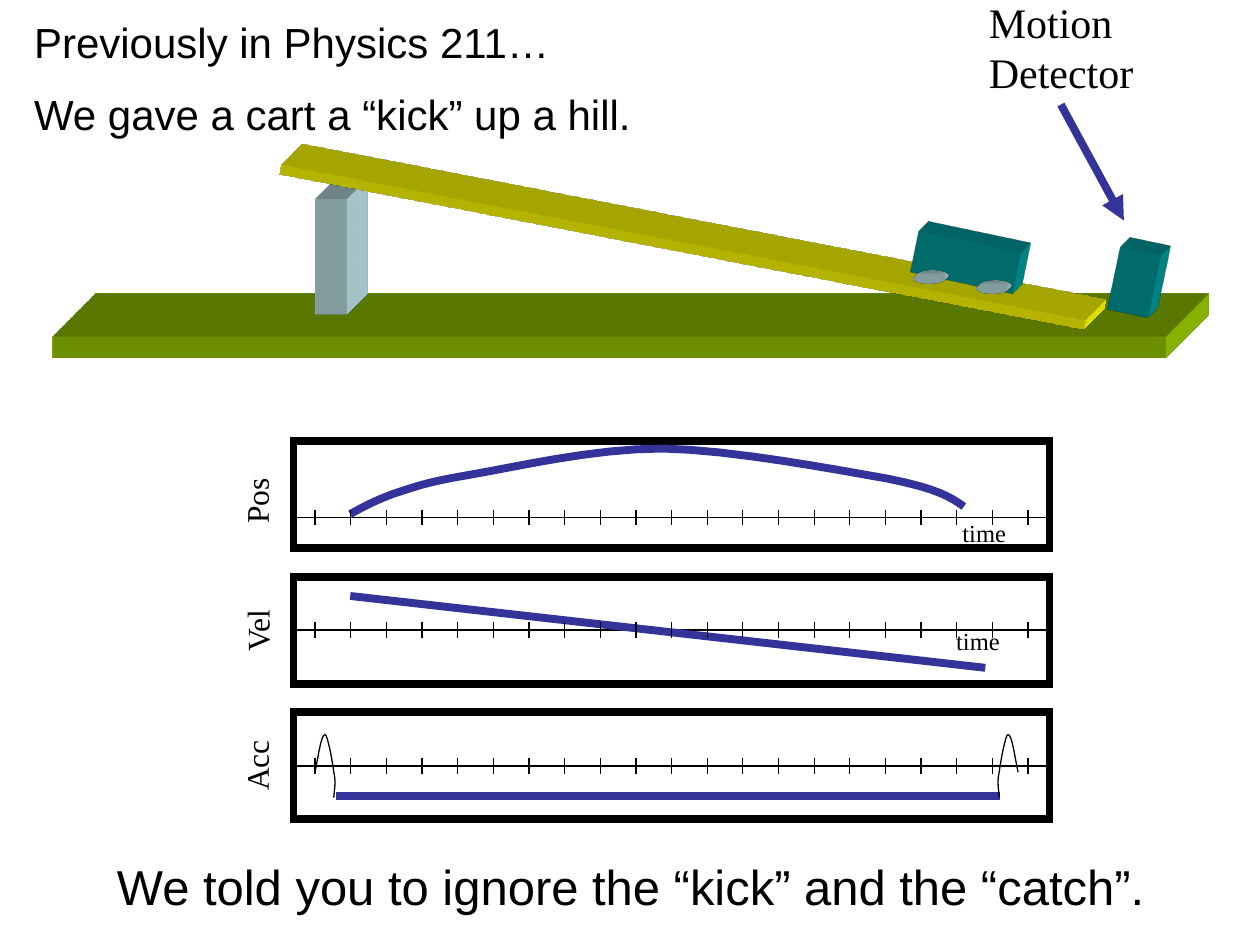
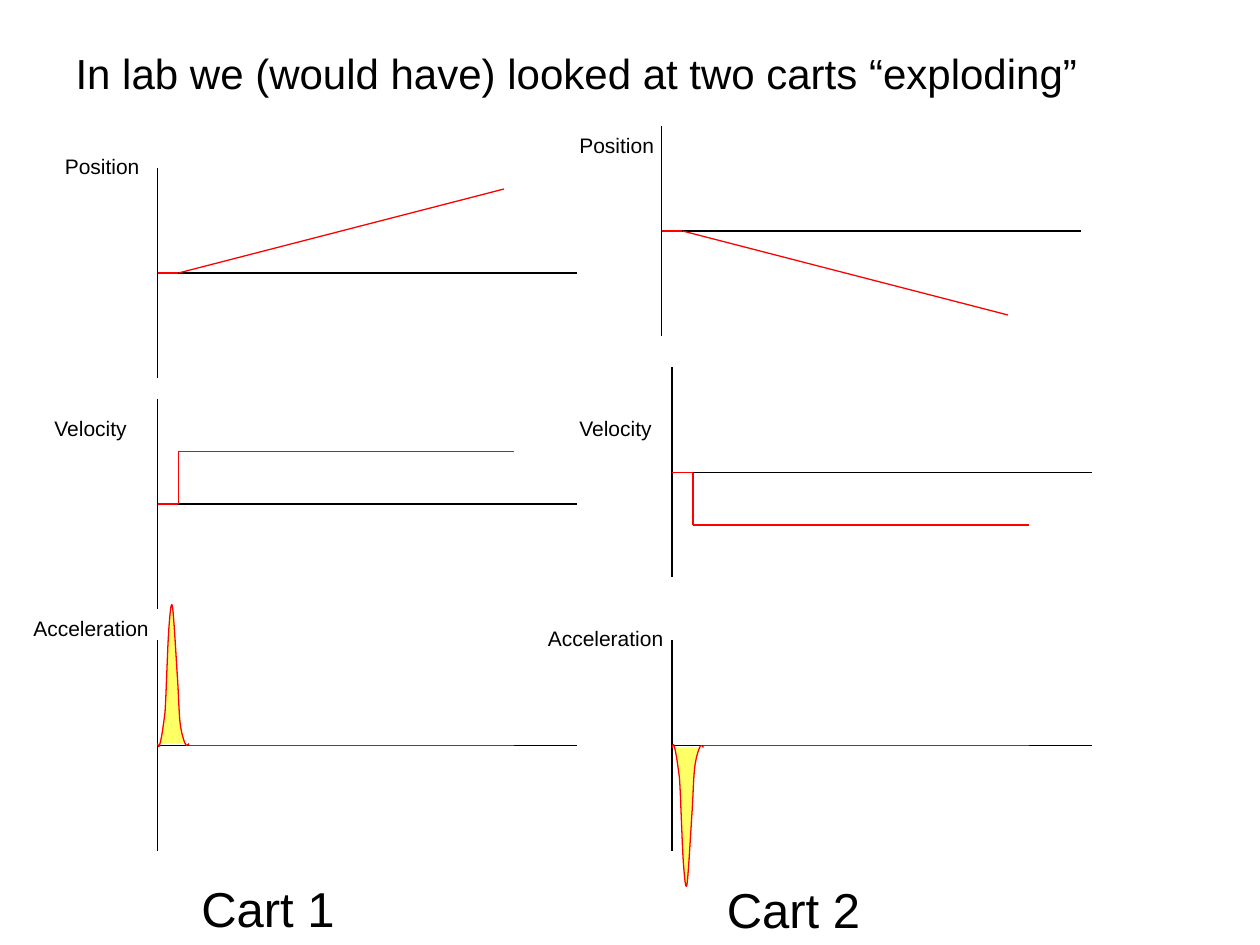
import pptx
import pptx.util
import pptx.dml.color
import pptx.enum.shapes
import pptx.enum.text
import pptx.oxml
import pptx.oxml.ns
import lxml.etree

SHAPES = pptx.enum.shapes.MSO_SHAPE
BLACK, INK, RED, YELLOW = "000000", "333399", "FF0000", "FFFF66"
SANS, SERIF = "Arial", "Times New Roman"
THIN, THICK = 0.75, 4.5
TWELFTH = 1 / 12

HILL_TITLE = ["Previously in Physics 211…", "We gave a cart a “kick” up a hill."]
HILL_NOTE = "We told you to ignore the “kick” and the “catch”."
CARTS_TITLE = ["In lab we (would have) looked at two carts “exploding”"]

APPARATUS = [
    ("rect", (0.42, 2.67, 8.83, 0.17), 0, "99CC00", 0.97),
    ("rect", (2.5, 1.58, 0.25, 0.92), 0, "BBE0E3", 0.47),
    ("rect", (2.17, 1.92, 6.5, 0.08), 10.9, "FFFF00", 0.47),
    ("rect", (7.25, 1.92, 0.83, 0.33), 11.8, "009999", 0.22),
    ("oval", (7.25, 2.17, 0.25, 0.08), 0, "BBE0E3", 0.07),
    ("oval", (7.75, 2.25, 0.25, 0.08), 0, "BBE0E3", 0.07),
    ("rect", (8.75, 2.08, 0.5, 0.33), 281.8, "009999", 0.22),
]

FRAMES = [
    ("Pos", (1.75, 3.77, 0.57, 0.4), 3.5, 4.11),
    ("Vel", (1.75, 4.78, 0.58, 0.4), 4.58, 5),
    ("Acc", (1.68, 5.82, 0.71, 0.4), 5.65, 6.08),
]
FRAME_LEFT, FRAME_WIDTH, FRAME_HEIGHT = 2.33, 6, 0.85
TICK_START, TICK_STEP, TICK_COUNT, TICK_HALF = 2.5, 0.283, 21, 0.06
TIME_LABELS = [(7.54, 4.06, 0.62, 0.33), (7.49, 4.92, 0.62, 0.33)]

POSITION_CURVE = [
    (2.78, 4.08), (2.87, 4.03), (2.96, 3.98), (3.12, 3.92),
    (3.28, 3.87), (3.36, 3.83), (3.72, 3.77),
    (4.08, 3.71), (4.7, 3.56), (5.26, 3.56),
    (5.81, 3.57), (6.65, 3.73), (7.05, 3.8),
    (7.45, 3.88), (7.55, 3.95), (7.65, 4.02),
]
SPIKE = [
    (0, 0.3), (0.03, 0.15), (0.05, 0), (0.08, 0),
    (0.1, 0), (0.14, 0.22), (0.15, 0.3),
    (0.17, 0.39), (0.15, 0.45), (0.15, 0.5),
]
SPIKE_TOP = 5.83
SPIKE_ENDS = [(2.5, 1), (8.08, -1)]

PULSE = [
    (0, 0), (0.01, -0.02), (0.01, -0.04), (0.02, 0),
    (0.03, 0.04), (0.04, 0.09), (0.06, 0.25),
    (0.07, 0.4), (0.08, 0.78), (0.09, 0.91),
    (0.1, 1.05), (0.11, 1.15), (0.12, 1.08),
    (0.13, 1.01), (0.15, 0.65), (0.16, 0.5),
    (0.17, 0.34), (0.17, 0.25), (0.18, 0.16),
    (0.19, 0.08), (0.21, 0.02), (0.22, 0),
    (0.23, -0.03), (0.25, 0), (0.25, 0),
]
PULSE_LIFT = 0.015
AXIS_COLUMNS, AXIS_ROWS = 40, 20
TRACES = {
    "Position": [(0, 0), (2, 0), (33, 8)],
    "Velocity": [(0, 0), (2, 0), (2, 5), (34, 5)],
    "Acceleration": [(3, 0), (34, 0)],
}
CARTS = [
    ("Cart 1", (1.5, 6.92, 2.67, 0.57), 1, [
        ("Position", (5, 14), (15, 16)),
        ("Velocity", (4, 39), (15, 38)),
        ("Acceleration", (2, 58), (15, 61))]),
    ("Cart 2", (5.67, 6.93, 2.67, 0.57), -1, [
        ("Position", (54, 12), (63, 12)),
        ("Velocity", (54, 39), (64, 35)),
        ("Acceleration", (51, 59), (64, 61))]),
]


def colour(value):
    return pptx.dml.color.RGBColor.from_string(value)


def inches(values):
    return [pptx.util.Inches(value) for value in values]


def write(box, lines, size, font, wrap=True):
    frame = box.text_frame
    frame.text = "\n".join(lines)
    frame.word_wrap = wrap
    frame.auto_size = pptx.enum.text.MSO_AUTO_SIZE.SHAPE_TO_FIT_TEXT
    frame.vertical_anchor = pptx.enum.text.MSO_ANCHOR.TOP
    for index, para in enumerate(frame.paragraphs):
        para.alignment = pptx.enum.text.PP_ALIGN.LEFT
        para.space_before = pptx.util.Pt(0.52 * size if index else 0)
        for span in para.runs:
            span.font.size = pptx.util.Pt(size)
            span.font.name = font
            span.font.color.rgb = colour(BLACK)


def add_text(page, place, line, size, font, turn=0, wrap=True):
    box = page.shapes.add_textbox(*inches(place))
    write(box, [line], size, font, wrap)
    box.rotation = turn


def add_titled_page(deck, place, lines):
    page = deck.slides.add_slide(deck.slide_layouts[5])
    title = page.shapes.title
    title.left, title.top, title.width, title.height = inches(place)
    write(title, lines, 24, SANS)
    return page


def paint(shape, fill=None, line=None, width=THIN):
    shape.shadow.inherit = False
    if fill:
        shape.fill.solid()
        shape.fill.fore_color.rgb = colour(fill)
    else:
        shape.fill.background()
    if line:
        shape.line.color.rgb = colour(line)
        shape.line.width = pptx.util.Pt(width)
    else:
        shape.line.fill.background()


def extend_line(shape, tag, **attributes):
    outline = shape.line._get_or_add_ln()
    lxml.etree.SubElement(outline, pptx.oxml.ns.qn(tag), attributes)


def add_line(page, start, end, stroke=BLACK, width=THIN, arrow=False):
    line = page.shapes.add_connector(
        pptx.enum.shapes.MSO_CONNECTOR.STRAIGHT, *inches((*start, *end)))
    line.line.color.rgb = colour(stroke)
    line.line.width = pptx.util.Pt(width)
    if arrow:
        extend_line(line, "a:tailEnd", type="triangle")
    lxml.etree.SubElement(line._element.spPr, pptx.oxml.ns.qn("a:effectLst"))


def add_curve(page, knots, stroke, width=THIN, fill=None, steps=8):
    points = [inches(knots[0])]
    for first in range(0, len(knots) - 1, 3):
        controls = knots[first:first + 4]
        for step in range(1, steps + 1):
            t = step / steps
            u = 1 - t
            weights = (u ** 3, 3 * u * u * t, 3 * u * t * t, t ** 3)
            points.append(inches(
                sum(weight * point[axis] for weight, point in zip(weights, controls))
                for axis in (0, 1)))
    builder = page.shapes.build_freeform(*points[0], scale=1.0)
    builder.add_line_segments(points[1:], close=False)
    paint(builder.convert_to_shape(), fill, stroke, width)


def extrude(shape, fill, depth):
    space = pptx.oxml.ns.nsdecls("a")
    scene = (f'<a:scene3d {space}><a:camera prst="legacyObliqueTopRight"/>'
             '<a:lightRig rig="legacyFlat3" dir="b"/></a:scene3d>')
    solid = (f'<a:sp3d {space} extrusionH="{int(pptx.util.Inches(depth))}" '
             'prstMaterial="legacyMatte"><a:bevelT w="13500" h="13500" prst="angle"/>'
             '<a:bevelB w="13500" h="13500" prst="angle"/>'
             f'<a:extrusionClr><a:srgbClr val="{fill}"/></a:extrusionClr></a:sp3d>')
    for xml in (scene, solid):
        shape._element.spPr.append(pptx.oxml.parse_xml(xml))


def build_hill(deck):
    page = add_titled_page(deck, (0.17, 0.08, 8.75, 1.1), HILL_TITLE)
    for kind, place, turn, fill, depth in APPARATUS:
        preset = SHAPES.OVAL if kind == "oval" else SHAPES.RECTANGLE
        part = page.shapes.add_shape(preset, *inches(place))
        part.rotation = turn
        paint(part, fill)
        extrude(part, fill, depth)
    add_line(page, (8.42, 0.83), (8.92, 1.75), INK, THICK, arrow=True)
    add_text(page, (7.75, -0.08, 2, 0.9), "Motion Detector", 24, SERIF)

    for label, place, top, axis in FRAMES:
        frame = page.shapes.add_shape(
            SHAPES.RECTANGLE, *inches((FRAME_LEFT, top, FRAME_WIDTH, FRAME_HEIGHT)))
        paint(frame, None, BLACK, THICK)
        extend_line(frame, "a:miter", lim="800000")
        add_line(page, (FRAME_LEFT, axis), (FRAME_LEFT + FRAME_WIDTH, axis))
        add_text(page, place, label, 18, SERIF, turn=270, wrap=False)

    add_curve(page, POSITION_CURVE, INK, THICK)
    add_line(page, (2.78, 4.73), (7.82, 5.3), INK, THICK)
    add_line(page, (2.67, 6.32), (7.94, 6.32), INK, THICK)
    for label, place, top, axis in FRAMES:
        for index in range(TICK_COUNT):
            x = TICK_START + index * TICK_STEP
            add_line(page, (x, axis - TICK_HALF), (x, axis + TICK_HALF))
    for place in TIME_LABELS:
        add_text(page, place, "time", 14, SERIF)
    for left, side in SPIKE_ENDS:
        add_curve(page, [(left + side * x, SPIKE_TOP + y) for x, y in SPIKE], BLACK)
    add_text(page, (0.83, 6.75, 8.92, 0.57), HILL_NOTE, 28, SANS)


def build_carts(deck):
    page = add_titled_page(deck, (0.5, 0.33, 8.75, 0.5), CARTS_TITLE)
    for name, name_place, sign, graphs in CARTS:
        for label, (label_column, label_row), (column, row) in graphs:
            x, top = column * TWELFTH, row * TWELFTH
            y = top + AXIS_ROWS / 2 * TWELFTH
            add_line(page, (x, top), (x, top + AXIS_ROWS * TWELFTH))
            add_line(page, (x, y), (x + AXIS_COLUMNS * TWELFTH, y))
            if label == "Acceleration":
                base = y - sign * PULSE_LIFT
                add_curve(page, [(x + dx, base - sign * dy) for dx, dy in PULSE],
                          RED, THIN, YELLOW)
            trace = [(x + dx * TWELFTH, y - sign * dy * TWELFTH) for dx, dy in TRACES[label]]
            for start, end in zip(trace, trace[1:]):
                add_line(page, start, end, RED)
            add_text(page, (label_column * TWELFTH, label_row * TWELFTH, 1.17, 0.3),
                     label, 12, SANS)
        add_text(page, name_place, name, 28, SANS)


deck = pptx.Presentation()
deck.slide_width, deck.slide_height = inches((10, 7.5))
build_hill(deck)
build_carts(deck)
deck.save("out.pptx")
